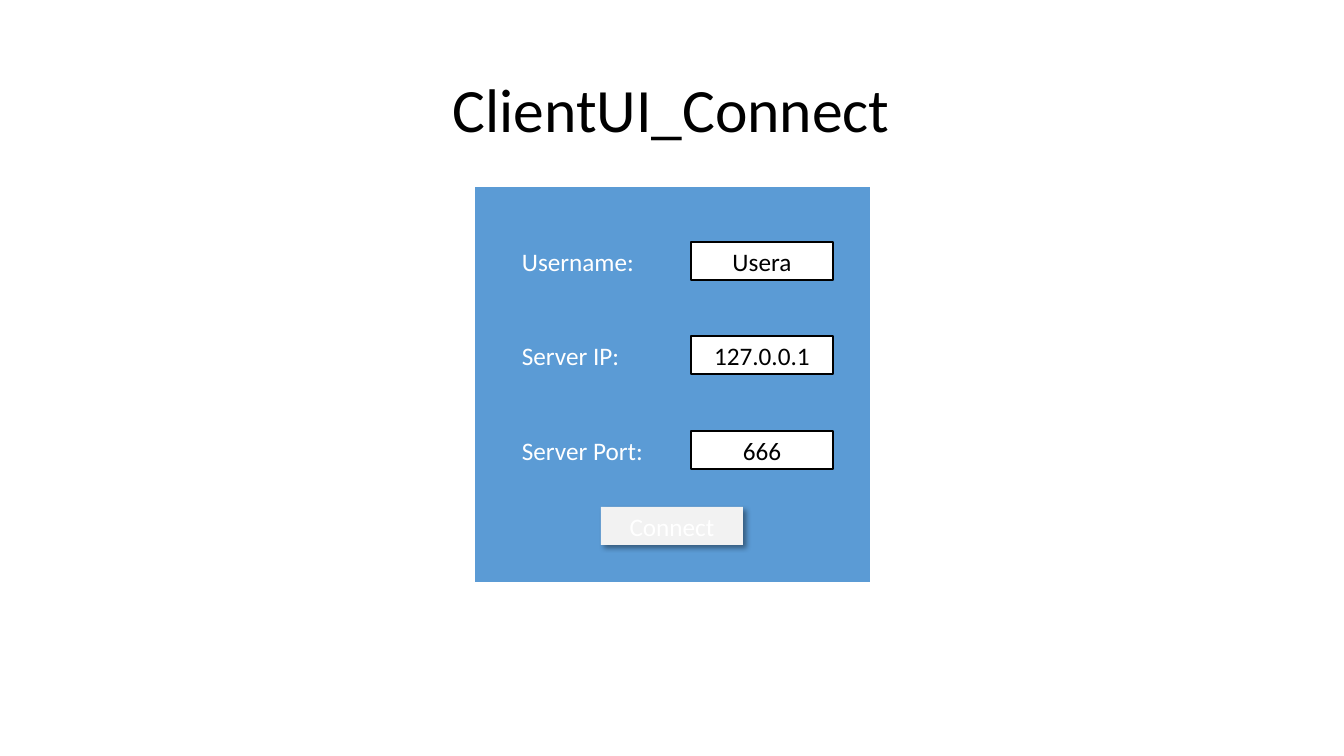
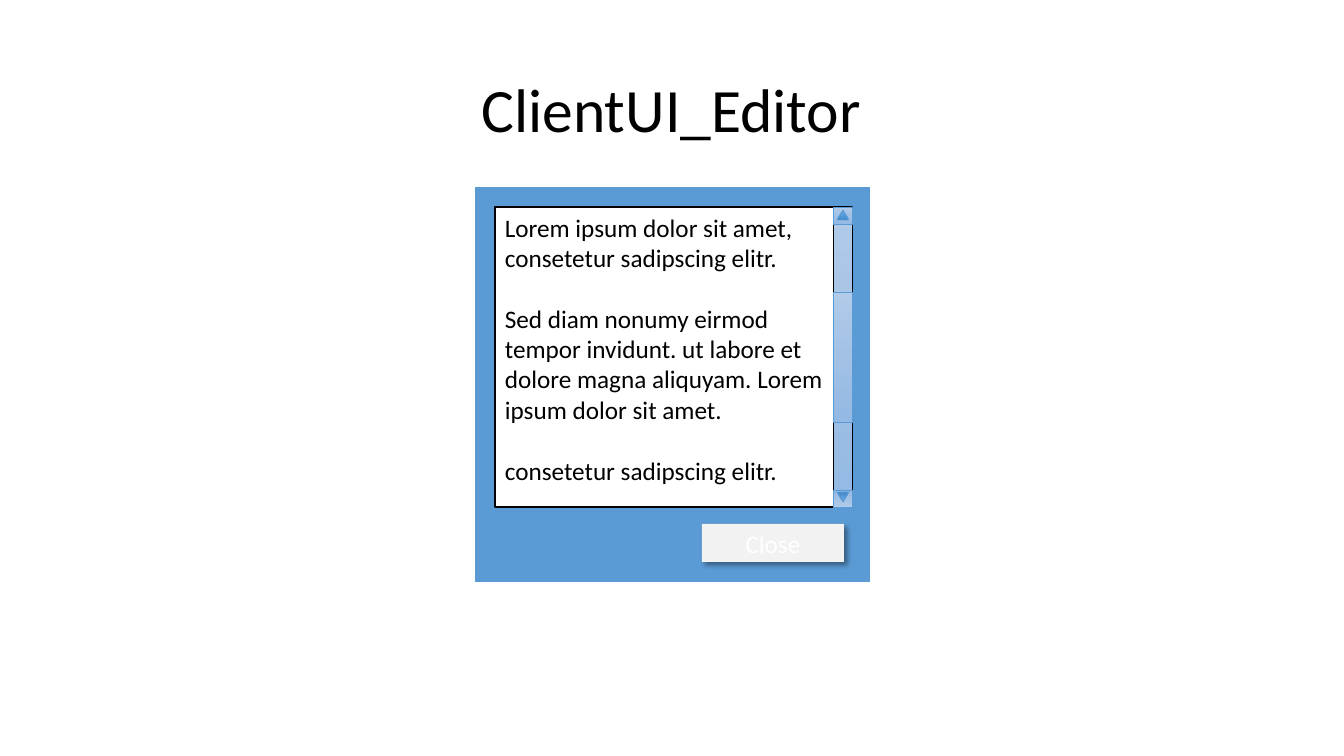
from dataclasses import dataclass

from lxml.etree import SubElement
from pptx import Presentation
from pptx.dml.color import RGBColor
from pptx.enum.shapes import MSO_SHAPE
from pptx.enum.text import MSO_ANCHOR, PP_ALIGN
from pptx.oxml.ns import qn
from pptx.util import Emu, Pt

SCALE = 914400 / 100.8


@dataclass(frozen=True)
class Theme:
    """Colours, font and type sizes of the deck."""
    font: str = "Calibri"
    head: int = 44
    body: int = 18
    gap: int = 22
    ink: str = "000000"
    paper: str = "FFFFFF"
    blue: str = "5B9BD5"
    grey: str = "F2F2F2"
    bar: tuple = ("B1CBE9", "A3C1E5", "93B9E4")
    arrow: tuple = ("71A6DB", "559BDB", "448ACA")


def px(num):
    """Turn pixels into EMU."""
    return Emu(round(num * SCALE))


def apply(item, style):
    """Set each attribute in a dict of format values."""
    for key, value in style.items():
        setattr(item, key, value)


class Deck:
    """Holds the style and the current slide."""

    def __init__(self, theme):
        """Start a wide deck."""
        self.theme = theme
        self.prs = Presentation()
        apply(self.prs, {"slide_width": px(1344), "slide_height": px(756)})

    def page(self, title):
        """Add a slide with a title and the blue window."""
        theme = self.theme
        self.slide = self.prs.slides.add_slide(self.prs.slide_layouts[5])
        head = self.slide.shapes.title
        self.place(head, (92, 40, 1159, 146))
        self.letter(head, [title], theme.ink, theme.head, PP_ALIGN.CENTER)
        head.text_frame.paragraphs[0].line_spacing = 0.9
        self.box((474, 186, 397, 397), theme.blue, theme.paper, 1.5)

    def place(self, shape, area):
        """Move and size a shape."""
        apply(shape, dict(zip(("left", "top", "width", "height"), map(px, area))))

    def letter(self, shape, texts, color, size, align, anchor=MSO_ANCHOR.MIDDLE):
        """Fill a shape with one paragraph per text."""
        frame = shape.text_frame
        apply(frame, {"word_wrap": True, "vertical_anchor": anchor})
        for num, text in enumerate(texts):
            para = frame.add_paragraph() if num else frame.paragraphs[0]
            apply(para, {"text": text, "alignment": align,
                         "space_before": Pt(self.theme.gap if num else 0)})
            apply(para.font, {"name": self.theme.font, "size": Pt(size)})
            para.font.color.rgb = RGBColor.from_string(color)

    def box(self, area, fill, line=None, width=1.0, kind=MSO_SHAPE.RECTANGLE, turn=0):
        """Add a shape with a plain fill, or a gradient for a tuple."""
        shape = self.slide.shapes.add_shape(kind, *map(px, area))
        apply(shape, {"rotation": turn})
        shape.shadow.inherit = False
        if isinstance(fill, tuple):
            self.blend(shape, fill)
        else:
            shape.fill.solid()
            shape.fill.fore_color.rgb = RGBColor.from_string(fill)
        if line:
            shape.line.color.rgb = RGBColor.from_string(line)
            shape.line.width = Pt(width)
        else:
            shape.line.fill.background()
        return shape

    def blend(self, shape, colors):
        """Give a shape an even gradient from top to bottom."""
        grad = SubElement(shape.element.spPr, qn("a:gradFill"), rotWithShape="1")
        stops = SubElement(grad, qn("a:gsLst"))
        for num, color in enumerate(colors):
            pos = num * 100000 // (len(colors) - 1)
            stop = SubElement(stops, qn("a:gs"), pos=str(pos))
            SubElement(stop, qn("a:srgbClr"), val=color)
        SubElement(grad, qn("a:lin"), ang="5400000", scaled="0")
        shape.element.spPr.find(qn("a:prstGeom")).addnext(grad)

    def label(self, left, top, text):
        """Add a white caption on the window."""
        theme = self.theme
        shape = self.box((left, top, 142, 38), theme.blue)
        self.letter(shape, [text], theme.paper, theme.body, PP_ALIGN.LEFT)

    def field(self, left, top, text):
        """Add an input field with a centred value."""
        theme = self.theme
        shape = self.box((left, top, 142, 38), theme.paper, theme.ink)
        self.letter(shape, [text], theme.ink, theme.body, PP_ALIGN.CENTER)

    def button(self, left, top, text):
        """Add a grey button with a soft shadow."""
        theme = self.theme
        shape = self.box((left, top, 142, 38), theme.grey)
        self.letter(shape, [text], theme.paper, theme.body, PP_ALIGN.CENTER)
        shade = SubElement(shape.element.spPr.find(qn("a:effectLst")),
                           qn("a:outerShdw"), blurRad=str(Pt(4)), dist=str(Pt(3)),
                           dir="2700000", algn="tl", rotWithShape="0")
        color = SubElement(shade, qn("a:srgbClr"), val=theme.ink)
        SubElement(color, qn("a:alpha"), val="40000")

    def editor(self, area, texts):
        """Add a text area."""
        theme = self.theme
        shape = self.box(area, theme.paper, theme.ink)
        self.letter(shape, texts, theme.ink, theme.body, PP_ALIGN.LEFT, MSO_ANCHOR.TOP)

    def scroll(self, left, top, height):
        """Add a scroll bar with a thumb and two arrow ends."""
        theme = self.theme
        self.box((left, top, 19, height), theme.bar, theme.ink, 0.5)
        self.box((left, top + 85, 19, 130), theme.bar, theme.blue, 0.5)
        for end, tip, turn in ((top, 3, 0), (top + height - 17, 2, 180)):
            self.box((left, end, 19, 17), theme.bar, theme.blue, 0.5, turn=turn)
            self.box((left + 4, end + tip, 12, 10), theme.arrow, theme.blue, 0.5,
                     MSO_SHAPE.ISOSCELES_TRIANGLE, turn)


def connect(deck):
    """Build the connect window."""
    deck.page("ClientUI_Connect")
    rows = (("Username:", "Usera"), ("Server IP:", "127.0.0.1"), ("Server Port:", "666"))
    for num, (name, value) in enumerate(rows):
        top = 242 + num * 189 // 2
        deck.label(512, top, name)
        deck.field(691, top, value)
    deck.button(601, 507, "Connect")


def edit(deck):
    """Build the editor window."""
    deck.page("ClientUI_Editor")
    deck.editor((495, 207, 357, 300), (
        "Lorem ipsum dolor sit amet, consetetur sadipscing elitr.",
        "Sed diam nonumy eirmod tempor invidunt. ut labore et dolore magna "
        "aliquyam. Lorem ipsum dolor sit amet.",
        "consetetur sadipscing elitr."))
    deck.button(702, 524, "Close")
    deck.scroll(833, 207, 300)


deck = Deck(Theme())
connect(deck)
edit(deck)
deck.prs.save("out.pptx")
